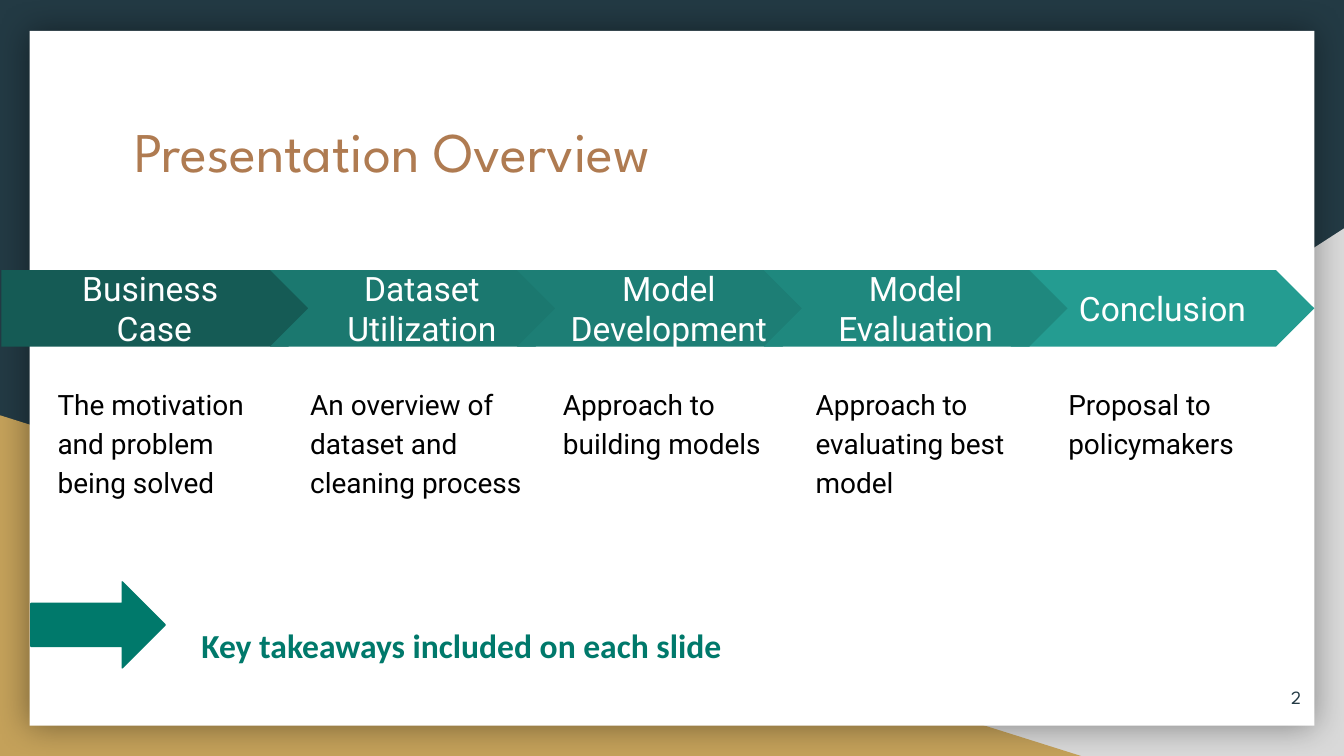
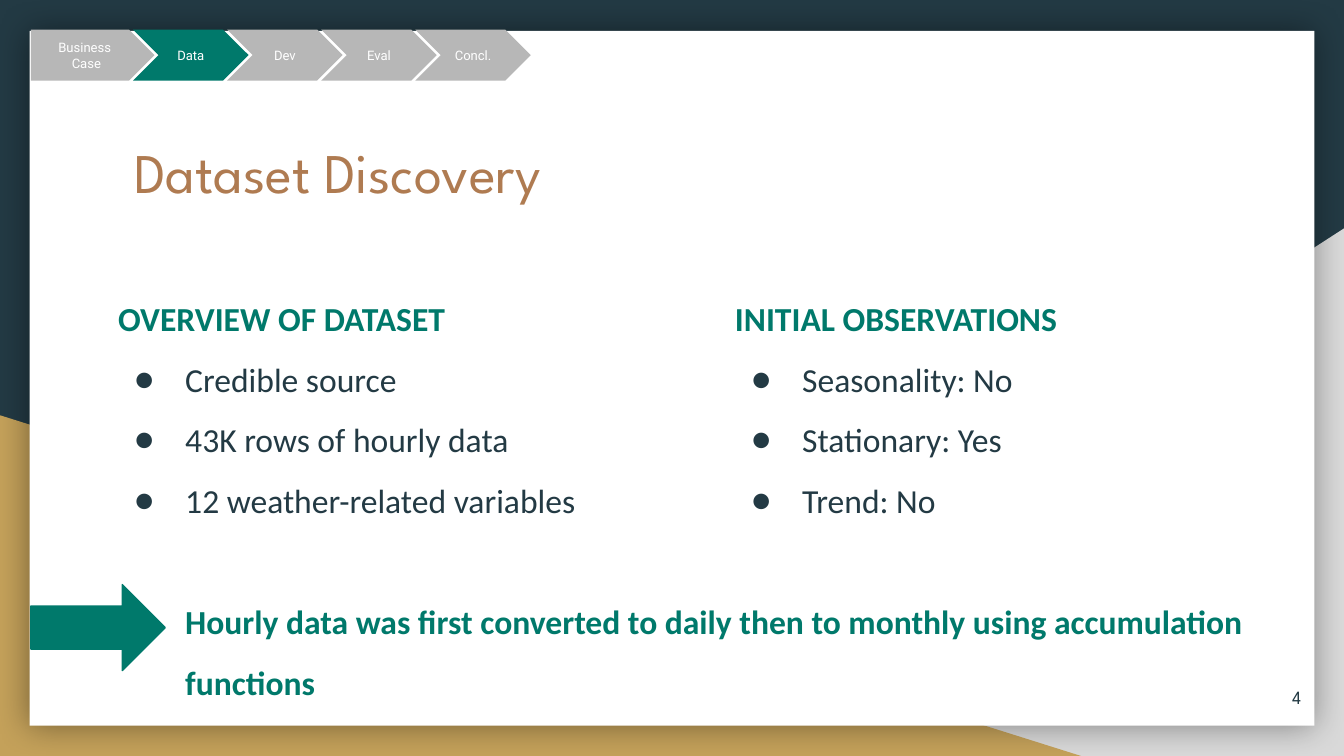
from lxml import etree
from pptx import Presentation
from pptx import util as u
from pptx.dml.color import RGBColor
from pptx.enum import shapes, text
from pptx.oxml import ns

NAVY, SAND, SILVER, WHITE = "233A44", "C4A15A", "D9D9D9", "FFFFFF"
COPPER, TEAL, GREY, BLACK = "AF7B51", "00796B", "B7B7B7", "000000"
HEADING, BODY, LABEL = "League Spartan", "Calibri", "Roboto"
SHAPE = shapes.MSO_SHAPE
ALIGN = text.PP_ALIGN
ANCHOR = text.MSO_ANCHOR


def colour(value):
    return RGBColor.from_string(value)


def add_node(parent, tag, **attributes):
    return etree.SubElement(parent, ns.qn(tag), attributes)


def write(frame, words, size=18, font=BODY, color=BLACK, bold=False,
          align=ALIGN.LEFT, spacing=None, before=0, indent=0, bullet=None):
    first = frame.paragraphs[0]
    for line in words.split("\n"):
        para = frame.add_paragraph() if first.runs else first
        para.alignment = align
        if spacing:
            para.line_spacing = spacing
        if before:
            para.space_before = u.Pt(before)
        properties = para._p.get_or_add_pPr()
        if indent:
            properties.set("marL", str(u.Inches(indent)))
            properties.set("indent", "0")
        if bullet:
            properties.set("indent", str(u.Inches(-0.38)))
            add_node(add_node(properties, "a:buClr"), "a:srgbClr", val=color)
            add_node(properties, "a:buFont", typeface=font)
            add_node(properties, "a:buChar", char=bullet)
        span = para.add_run()
        span.text = line
        span.font.size = u.Pt(size)
        span.font.name = font
        span.font.bold = bold
        span.font.color.rgb = colour(color)


class SlideBuilder:
    def __init__(self, deck):
        self.deck = deck
        self.page = None

    def start(self, title, title_top, number):
        self.page = self.deck.slides.add_slide(self.deck.slide_layouts[6])
        fill = self.page.background.fill
        fill.solid()
        fill.fore_color.rgb = colour(NAVY)
        corner = self.shape(SHAPE.RIGHT_TRIANGLE, 3.92, 1.7, 6.08, 3.93, SILVER)
        corner._element.spPr.find(ns.qn("a:xfrm")).set("flipH", "1")
        self.shape(SHAPE.RIGHT_TRIANGLE, 0, 3.09, 8.06, 2.54, SAND)
        self.card()
        write(self.frame(0.9, title_top, 8.21, 1.04), title,
              size=30, font=HEADING, color=COPPER)
        write(self.frame(9.18, 4.97, 0.6, 0.43, ANCHOR.MIDDLE), number,
              size=10, font=HEADING, color=NAVY, align=ALIGN.RIGHT)

    def card(self):
        card = self.shape(SHAPE.RECTANGLE, 0.22, 0.23, 9.56, 5.17, WHITE)
        effects = card._element.spPr.find(ns.qn("a:effectLst"))
        shadow = add_node(effects, "a:outerShdw", blurRad=str(u.Pt(18)),
                          dist="0", dir="0", algn="ctr", rotWithShape="0")
        tint = add_node(shadow, "a:srgbClr", val=BLACK)
        add_node(tint, "a:alpha", val="40000")

    def shape(self, kind, left, top, width, height, fill, line=None):
        shape = self.page.shapes.add_shape(
            kind, *map(u.Inches, (left, top, width, height)))
        shape.shadow.inherit = False
        shape.fill.solid()
        shape.fill.fore_color.rgb = colour(fill)
        if line:
            shape.line.color.rgb = colour(line)
            shape.line.width = u.Pt(0.75)
        else:
            shape.line.fill.background()
        return shape

    def set_frame(self, frame, anchor):
        frame.word_wrap = True
        frame.vertical_anchor = anchor
        frame.margin_left = frame.margin_right = u.Inches(0.1)
        frame.margin_top = frame.margin_bottom = u.Inches(0.1)
        return frame

    def frame(self, left, top, width, height, anchor=ANCHOR.TOP):
        box = self.page.shapes.add_textbox(
            *map(u.Inches, (left, top, width, height)))
        return self.set_frame(box.text_frame, anchor)

    def stage(self, kind, left, top, width, height, fill, label, size):
        shape = self.shape(kind, left, top, width, height, fill)
        write(self.set_frame(shape.text_frame, ANCHOR.MIDDLE), label,
              size=size, font=LABEL, color=WHITE, align=ALIGN.CENTER)

    def takeaway_arrow(self, top):
        self.shape(SHAPE.RIGHT_ARROW, 0.23, top, 1, 0.64, TEAL, line=TEAL)

    def bullet_list(self, frame, heading, items):
        write(frame, heading, color=TEAL, bold=True, spacing=1.5)
        for item in items:
            write(frame, item, color=NAVY, spacing=1.5, indent=0.5, bullet="●")


def build_overview(builder):
    builder.start("Presentation Overview", 0.77, "2")
    builder.stage(SHAPE.PENTAGON, 0.01, 2.01, 2.42, 0.57, "155B55",
                  "Business \nCase", 18)
    chevrons = [(0, "Dataset Utilization", "1B786F"),
                (1, "Model Development", "1D7E75"),
                (3, "Conclusion", "249C91"),
                (2, "Model Evaluation", "1F887E")]
    pitch = (7.52 - 2.01) / 3
    for step, label, fill in chevrons:
        builder.stage(SHAPE.CHEVRON, 2.01 + pitch * step, 2.01, 2.26, 0.57,
                      fill, label, 18)
    descriptions = ["The motivation and problem being solved",
                    "An overview of dataset and cleaning process",
                    "Approach to building models",
                    "Approach to evaluating best model",
                    "Proposal to policymakers"]
    for step, description in enumerate(descriptions):
        write(builder.frame(0.33 + 1.88 * step, 2.75, 1.78, 2), description,
              size=15, font=LABEL, spacing=1.15)
    builder.takeaway_arrow(4.33)
    write(builder.frame(0.9, 4.4, 5.57, 0.5),
          "Key takeaways included on each slide",
          color=TEAL, bold=True, spacing=1.5, indent=0.5)


def build_discovery(builder):
    builder.start("Dataset Discovery", 0.92, "4")
    builder.stage(SHAPE.PENTAGON, 0.23, 0.22, 0.92, 0.38, GREY,
                  "Business \nCase", 7)
    for step, label in enumerate(["Data", "Dev", "Eval", "Concl."]):
        builder.stage(SHAPE.CHEVRON, 0.99 + 0.7 * step, 0.22, 0.86, 0.38,
                      TEAL if label == "Data" else GREY, label, 7)
    overview = builder.frame(0.78, 1.97, 8.68, 3.29)
    builder.bullet_list(overview, "OVERVIEW OF DATASET",
                        ["Credible source", "43K rows of hourly data",
                         "12 weather-related variables"])
    write(overview, "Hourly data was first converted to daily then to monthly "
          "using accumulation functions",
          color=TEAL, bold=True, spacing=1.5, before=32.5, indent=0.5)
    builder.takeaway_arrow(4.35)
    builder.bullet_list(builder.frame(5.37, 1.97, 4.09, 1.98),
                        "INITIAL OBSERVATIONS",
                        ["Seasonality: No", "Stationary: Yes", "Trend: No"])


def main():
    deck = Presentation()
    deck.slide_width = u.Inches(10)
    deck.slide_height = u.Inches(10 * 9 / 16)
    builder = SlideBuilder(deck)
    build_overview(builder)
    build_discovery(builder)
    deck.save("out.pptx")


if __name__ == "__main__":
    main()
